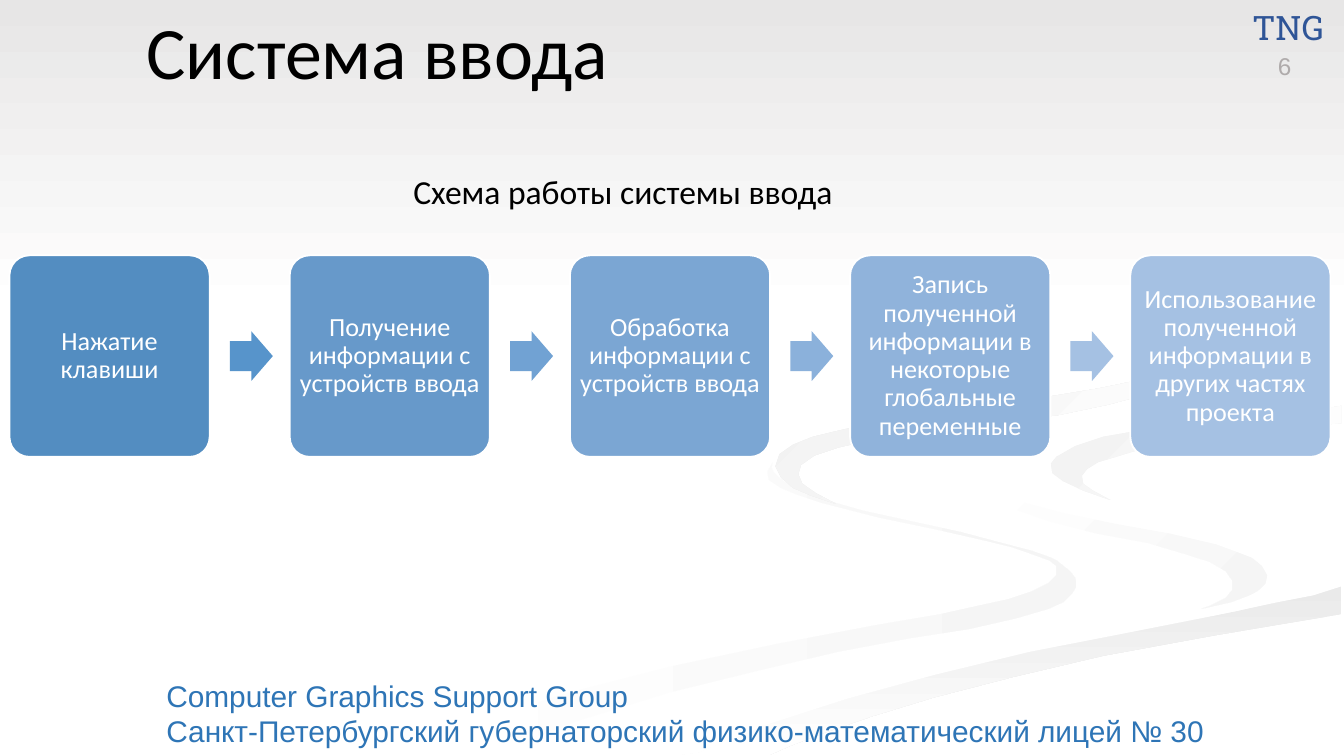
import pptx
import pptx.util
import pptx.dml.color
import pptx.enum.shapes
import pptx.enum.text

Inches = pptx.util.Inches
Pt = pptx.util.Pt
RGBColor = pptx.dml.color.RGBColor
Shape = pptx.enum.shapes.MSO_SHAPE
Align = pptx.enum.text.PP_ALIGN
Anchor = pptx.enum.text.MSO_ANCHOR

WIDTH = 10
HEIGHT = WIDTH * 9 / 16
BLACK = RGBColor(0x00, 0x00, 0x00)
WHITE = RGBColor(0xFF, 0xFF, 0xFF)
SMOKE = RGBColor(0xF5, 0xF5, 0xF5)
MIST = RGBColor(0xEA, 0xEA, 0xEA)
PEARL = RGBColor(0xF1, 0xF1, 0xF1)
SILVER = RGBColor(0xED, 0xED, 0xED)
BAND_GRAY = RGBColor(0xE7, 0xE6, 0xE6)
NUMBER_GRAY = RGBColor(0xAF, 0xAB, 0xAB)
TAG_BLUE = RGBColor(0x2F, 0x55, 0x97)
FOOTER_BLUE = RGBColor(0x2E, 0x75, 0xB6)

TITLE = "Система ввода"
STEPS = [
    ("Нажатие клавиши", RGBColor(0x53, 0x8D, 0xC1)),
    ("Получение информации с устройств ввода", RGBColor(0x67, 0x99, 0xCA)),
    ("Обработка информации с устройств ввода", RGBColor(0x7B, 0xA6, 0xD3)),
    ("Запись полученной информации в некоторые глобальные переменные",
     RGBColor(0x90, 0xB3, 0xDB)),
    ("Использование полученной информации в других частях проекта",
     RGBColor(0xA5, 0xC1, 0xE3)),
]
ARROW_COLORS = [
    RGBColor(0x57, 0x94, 0xCB),
    RGBColor(0x71, 0xA2, 0xD3),
    RGBColor(0x8B, 0xB1, 0xDB),
    RGBColor(0xA5, 0xC1, 0xE3),
]
LABELS = [
    (["TNG"], (9.22, 0, 1.08, 0.4), 18, "Roboto Slab", TAG_BLUE, Align.LEFT),
    (["6"], (9.41, 0.33, 0.43, 0.32), 13, "Arial", NUMBER_GRAY, Align.LEFT),
    (["Computer Graphics Support Group",
      "Санкт-Петербургский губернаторский физико-математический лицей № 30"],
     (1.14, 4.99, 8.27, 0.51), 16, "Arial", FOOTER_BLUE, Align.LEFT),
    (["Схема работы системы ввода"], (0.65, 1.22, 7.97, 0.4), 18, "Calibri",
     BLACK, Align.CENTER),
]

LEFT_ROAD = [
    (782, 415), (768, 410), (745, 404), (715, 396), (683, 389), (642, 380),
    (614, 372), (594, 364), (583, 358), (576, 352), (574, 348), (575, 344),
    (571, 351), (572, 357), (581, 363), (593, 368), (611, 374), (654, 385),
    (697, 394), (728, 401), (753, 407), (770, 413), (781, 417), (786, 421),
    (786, 428), (780, 434), (768, 440), (750, 446), (727, 451), (700, 457),
    (653, 465), (579, 479), (499, 496), (417, 517), (377, 531), (338, 545),
    (300, 562), (361, 562), (431, 536), (499, 515), (564, 499), (623, 485),
    (676, 475), (721, 468), (756, 460), (780, 453), (791, 448), (798, 441),
    (801, 436), (800, 430), (796, 425), (786, 417),
]
RIGHT_BEND = [
    (943, 428), (939, 421), (931, 415), (919, 410), (905, 405), (870, 397),
    (831, 390), (792, 382), (758, 373), (734, 362), (727, 356), (724, 348),
    (725, 356), (730, 363), (739, 370), (755, 379), (781, 388), (816, 397),
    (854, 404), (881, 412), (900, 418), (912, 425), (917, 432), (917, 439),
    (912, 445), (900, 451), (894, 453), (916, 448), (932, 442), (941, 436),
]
LOWER_ROAD = [
    (520, 560), (504, 562), (572, 562), (588, 555), (614, 545), (649, 533),
    (695, 519), (753, 504), (821, 488), (903, 473), (998, 457), (998, 436),
    (976, 443), (950, 448), (920, 455), (867, 465), (797, 478), (765, 485),
    (696, 502), (630, 520), (570, 539), (543, 550),
]
WHITE_ROAD = [
    (725, 348), (728, 356), (735, 362), (759, 373), (793, 382), (832, 390),
    (871, 397), (905, 405), (932, 415), (939, 421), (943, 428), (942, 434),
    (936, 440), (926, 445), (912, 450), (892, 454), (869, 458), (813, 469),
    (743, 482), (663, 501), (573, 527), (526, 543), (477, 562), (504, 562),
    (520, 560), (571, 539), (630, 520), (696, 502), (766, 485), (833, 472),
    (904, 458), (951, 448), (977, 443), (999, 436), (999, 404), (974, 400),
    (941, 395), (904, 389), (866, 382), (833, 373), (804, 364), (786, 355),
    (782, 347), (786, 340), (801, 332), (822, 325), (850, 320), (899, 314),
    (968, 307), (999, 302), (999, 290), (963, 296), (920, 301), (852, 308),
    (788, 317), (755, 324), (733, 334), (727, 341),
]
RIGHT_ROAD = [
    (782, 345), (783, 352), (791, 358), (806, 365), (826, 372), (813, 365),
    (806, 360), (805, 354), (809, 349), (817, 344), (843, 336), (878, 329),
    (936, 322), (971, 317), (998, 315), (998, 302), (967, 307), (899, 314),
    (850, 320), (821, 325), (800, 332), (786, 340),
]
UPPER_ROAD = [
    (683, 323), (740, 315), (787, 309), (825, 301), (855, 293), (877, 284),
    (889, 272), (894, 258), (890, 243), (880, 230), (864, 218), (843, 206),
    (810, 192), (781, 180), (763, 175), (805, 191), (846, 209), (862, 219),
    (877, 229), (886, 240), (889, 251), (886, 261), (877, 270), (862, 278),
    (842, 284), (818, 289), (763, 298), (704, 306), (649, 315), (626, 320),
    (605, 325), (590, 331), (580, 338), (577, 347), (581, 355), (590, 363),
    (604, 369), (622, 375), (607, 367), (597, 360), (594, 353), (596, 346),
    (606, 339), (624, 333), (650, 327),
]
TOP_BAND = [(0, 0), (0, 231), (1000, 231), (1000, 0)]
BACKDROP = [
    (LEFT_ROAD, WHITE, SMOKE, 0),
    (RIGHT_BEND, WHITE, SMOKE, 45),
    (LOWER_ROAD, MIST, WHITE, 90),
    (WHITE_ROAD, WHITE, WHITE, 0),
    (RIGHT_ROAD, PEARL, WHITE, 45),
    (UPPER_ROAD, SILVER, WHITE, 45),
    (TOP_BAND, BAND_GRAY, WHITE, 90),
]

BOX_LEFT, BOX_TOP, BOX_WIDTH, BOX_HEIGHT = 0.07, 1.9, 1.49, 1.5
ARROW_WIDTH, ARROW_HEIGHT, ARROW_OFFSET = 0.32, 0.37, 1.64
PITCH = (WIDTH - 0.1 - BOX_WIDTH - BOX_LEFT) / (len(STEPS) - 1)


def style(para, size, font, color, align):
    para.alignment = align
    para.font.size = Pt(size)
    para.font.name = font
    para.font.color.rgb = color


def add_backdrop(page, points, first, last, angle):
    builder = page.shapes.build_freeform(*points[0], scale=Inches(0.01))
    builder.add_line_segments(points[1:], close=True)
    shape = builder.convert_to_shape()
    shape.shadow.inherit = False
    shape.line.fill.background()
    if first == last:
        shape.fill.solid()
        shape.fill.fore_color.rgb = first
        return
    shape.fill.gradient()
    shape.fill.gradient_angle = (360 - angle) % 360
    for stop, color in zip(shape.fill.gradient_stops, (first, last)):
        stop.color.rgb = color


def add_block(page, kind, area, color, adjustments):
    shape = page.shapes.add_shape(kind, *map(Inches, area))
    shape.shadow.inherit = False
    shape.fill.solid()
    shape.fill.fore_color.rgb = color
    shape.line.fill.background()
    for index, value in enumerate(adjustments):
        shape.adjustments[index] = value
    return shape


def add_step(page, index, text, color):
    area = (BOX_LEFT + index * PITCH, BOX_TOP, BOX_WIDTH, BOX_HEIGHT)
    box = add_block(page, Shape.ROUNDED_RECTANGLE, area, color, [0.1])
    box.line.color.rgb = WHITE
    box.line.width = Pt(1)
    frame = box.text_frame
    frame.word_wrap = True
    frame.vertical_anchor = Anchor.MIDDLE
    frame.margin_left = frame.margin_right = Inches(0.02)
    frame.margin_top = frame.margin_bottom = Inches(0.02)
    frame.text = text
    frame.paragraphs[0].line_spacing = 0.9
    style(frame.paragraphs[0], 14, "Calibri", WHITE, Align.CENTER)


def add_label(page, lines, area, size, font, color, align):
    frame = page.shapes.add_textbox(*map(Inches, area)).text_frame
    frame.word_wrap = True
    frame.text = "\n".join(lines)
    for para in frame.paragraphs:
        style(para, size, font, color, align)


def place_title(page):
    title = page.shapes.title
    title.left, title.top, title.width, title.height = map(
        Inches, (0.99, 0.06, 8.32, 0.7))
    page.shapes.element.append(title.element)
    frame = title.text_frame
    frame.text = TITLE
    frame.auto_size = pptx.enum.text.MSO_AUTO_SIZE.NONE
    frame.vertical_anchor = Anchor.MIDDLE
    frame.paragraphs[0].line_spacing = 0.9
    style(frame.paragraphs[0], 39.6, "Calibri", BLACK, Align.LEFT)


def main():
    deck = pptx.Presentation()
    deck.slide_width, deck.slide_height = Inches(WIDTH), Inches(HEIGHT)
    page = deck.slides.add_slide(deck.slide_layouts[5])
    for piece in BACKDROP:
        add_backdrop(page, *piece)
    place_title(page)
    for index, (text, color) in enumerate(STEPS):
        add_step(page, index, text, color)
    for index, color in enumerate(ARROW_COLORS):
        area = (BOX_LEFT + index * PITCH + ARROW_OFFSET,
                BOX_TOP + (BOX_HEIGHT - ARROW_HEIGHT) / 2,
                ARROW_WIDTH, ARROW_HEIGHT)
        add_block(page, Shape.RIGHT_ARROW, area, color, [0.6, 0.5])
    for label in LABELS:
        add_label(page, *label)
    deck.save("out.pptx")


if __name__ == "__main__":
    main()
